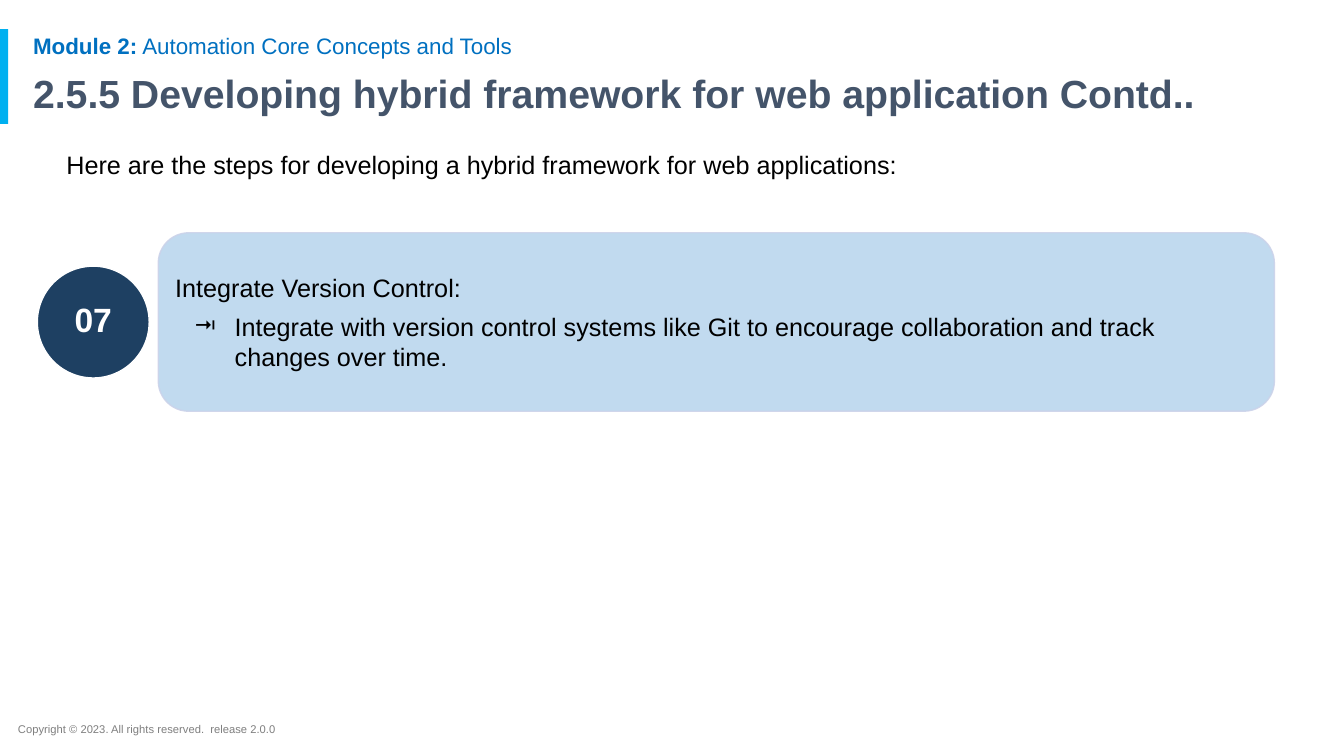
from dataclasses import dataclass

from lxml.etree import SubElement
from pptx import Presentation
from pptx.dml.color import RGBColor as Color
from pptx.enum.shapes import MSO_SHAPE as Preset
from pptx.enum.text import MSO_ANCHOR as Anchor, PP_ALIGN as Align
from pptx.oxml.ns import qn
from pptx.util import Inches, Pt

MODULE = [("Module 2:", True), (" Automation Core Concepts and Tools", False)]
TITLE = "2.5.5 Developing hybrid framework for web application Contd.."
INTRO = "Here are the steps for developing a hybrid framework for web applications:"
STEP = {
    "number": "07",
    "heading": "Integrate Version Control:",
    "detail": "Integrate with version control systems like Git to encourage "
              "collaboration and track changes over time.",
}
COPYRIGHT = "Copyright © 2023. All rights reserved.  release 2.0.0"
BULLET = "⭲"


@dataclass(frozen=True)
class Theme:
    font: str = "Arial"
    accent: str = "00B0F0"
    module: str = "0070C0"
    title: str = "44546A"
    text: str = "000000"
    footer: str = "7F7F7F"
    badge: str = "1E4062"
    white: str = "FFFFFF"
    card: str = "BBD6EE"
    card_line: str = "CCD3EA"
    card_opacity: int = 90
    footer_size: int = 8
    module_size: int = 16
    body_size: int = 18
    badge_size: int = 24
    title_size: int = 28


THEME = Theme()
CARD_LEFT, CARD_TOP, CARD_WIDTH, CARD_HEIGHT = 1.57, 2.31, 11.07, 1.77
BADGE_LEFT, BADGE_SIZE = 0.37, 1.11
BADGE_TOP = CARD_TOP + (CARD_HEIGHT - BADGE_SIZE) / 2


def style(paragraph, size, color, bold=None, spacing=None):
    font = paragraph.font
    font.name = THEME.font
    font.size = Pt(size)
    font.color.rgb = Color.from_string(color)
    font.bold = bold
    paragraph.line_spacing = spacing


def set_insets(frame, left, top, right, bottom):
    frame.word_wrap = True
    frame.margin_left, frame.margin_top = Inches(left), Inches(top)
    frame.margin_right, frame.margin_bottom = Inches(right), Inches(bottom)


def add_text(slide, box, runs, size, color, bold=None, spacing=None):
    frame = slide.shapes.add_textbox(*map(Inches, box)).text_frame
    set_insets(frame, 0.1, 0.05, 0.1, 0.05)
    paragraph = frame.paragraphs[0]
    for text, run_bold in runs:
        run = paragraph.add_run()
        run.text = text
        run.font.bold = run_bold
    style(paragraph, size, color, bold, spacing)


def add_panel(slide, preset, box, fill, line=None):
    shape = slide.shapes.add_shape(preset, *map(Inches, box))
    shape.shadow.inherit = False
    shape.fill.solid()
    shape.fill.fore_color.rgb = Color.from_string(fill)
    if line:
        shape.line.color.rgb = Color.from_string(line)
        shape.line.width = Pt(1)
    else:
        shape.line.fill.background()
    shape.text_frame.vertical_anchor = Anchor.MIDDLE
    return shape


def set_opacity(shape, percent):
    for color in shape.element.spPr.iter(qn("a:srgbClr")):
        SubElement(color, qn("a:alpha"), val=str(percent * 1000))


def add_bullet(paragraph, character, color, left, hanging):
    properties = paragraph._p.get_or_add_pPr()
    properties.set("marL", str(Inches(left)))
    properties.set("indent", str(-Inches(hanging)))
    bullet_color = SubElement(properties, qn("a:buClr"))
    SubElement(bullet_color, qn("a:srgbClr"), val=color)
    SubElement(properties, qn("a:buFont"), typeface=THEME.font)
    SubElement(properties, qn("a:buChar"), char=character)


def add_step(slide, step):
    badge = add_panel(slide, Preset.OVAL,
                      (BADGE_LEFT, BADGE_TOP, BADGE_SIZE, BADGE_SIZE),
                      THEME.badge, THEME.white)
    set_insets(badge.text_frame, 0.15, 0.11, 0.15, 0.11)
    number = badge.text_frame.paragraphs[0]
    number.text = step["number"]
    number.alignment = Align.CENTER
    style(number, THEME.badge_size, THEME.white, True, 0.9)

    card = add_panel(slide, Preset.ROUNDED_RECTANGLE,
                     (CARD_LEFT, CARD_TOP, CARD_WIDTH, CARD_HEIGHT),
                     THEME.card, THEME.card_line)
    card.adjustments[0] = 0.17
    set_opacity(card, THEME.card_opacity)
    frame = card.text_frame
    set_insets(frame, 0.08, 0.09, 0.13, 0.09)
    heading, detail = frame.paragraphs[0], frame.add_paragraph()
    heading.text, detail.text = step["heading"], step["detail"]
    detail.level = 1
    add_bullet(detail, BULLET, THEME.text, 0.59, 0.4)
    detail.space_before = Pt(6)
    for paragraph in (heading, detail):
        paragraph.alignment = Align.LEFT
        style(paragraph, THEME.body_size, THEME.text)


def main():
    presentation = Presentation()
    presentation.slide_width, presentation.slide_height = Inches(13.33), Inches(7.5)
    slide = presentation.slides.add_slide(presentation.slide_layouts[6])
    add_panel(slide, Preset.RECTANGLE, (0, 0.29, 0.08, 0.94), THEME.accent)
    add_text(slide, (0.08, 7.12, 7.13, 0.24), [(COPYRIGHT, None)],
             THEME.footer_size, THEME.footer)
    add_text(slide, (0.23, 0.3, 11.5, 0.33), MODULE,
             THEME.module_size, THEME.module, spacing=0.9)
    add_text(slide, (0.23, 0.69, 12.73, 0.54), [(TITLE, None)],
             THEME.title_size, THEME.title, True, 0.9)
    add_text(slide, (0.56, 1.43, 11.24, 5.29), [(INTRO, None)],
             THEME.body_size, THEME.text)
    add_step(slide, STEP)
    presentation.save("out.pptx")


if __name__ == "__main__":
    main()
